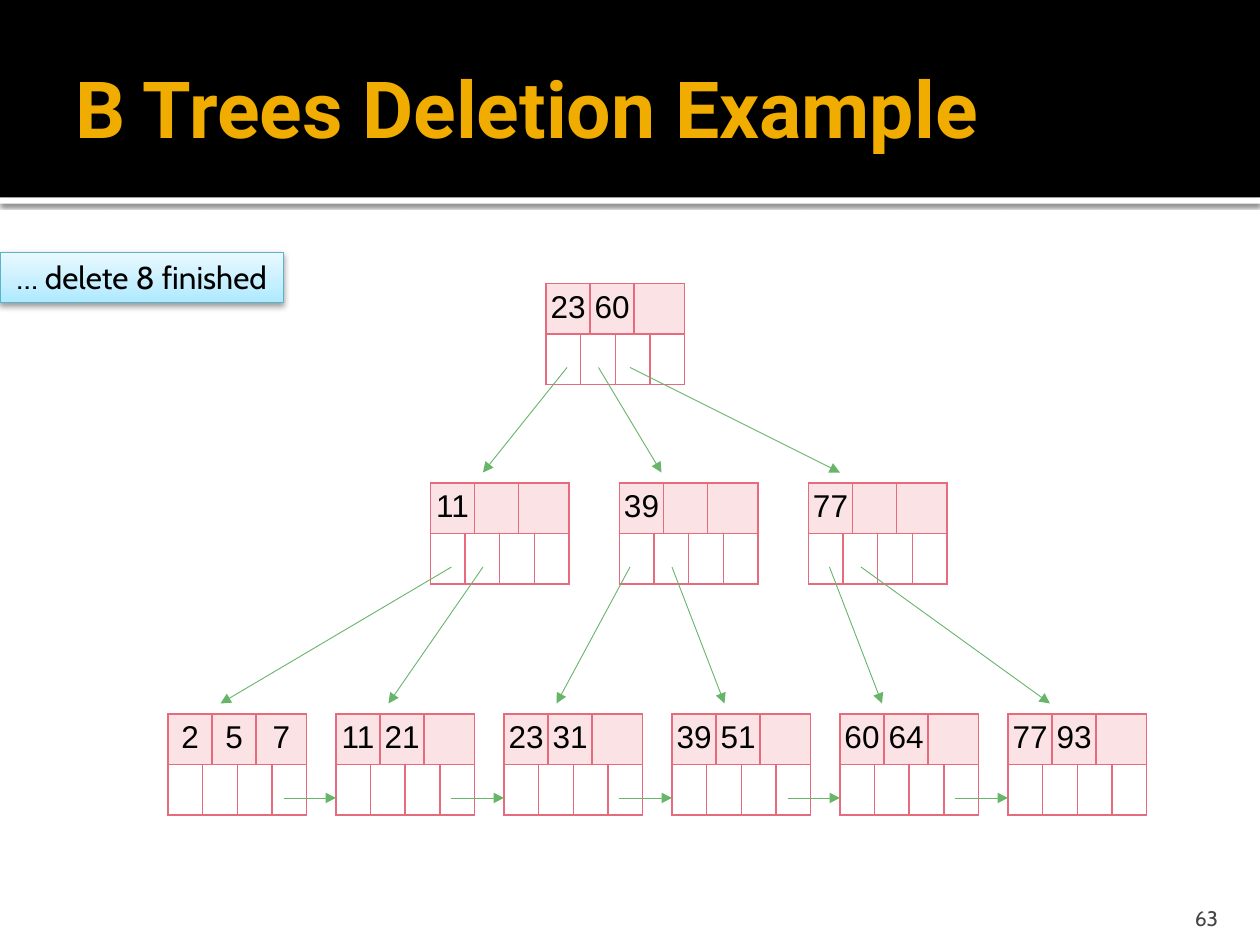
import lxml.etree
import pptx
import pptx.dml.color
import pptx.enum.shapes
import pptx.enum.text
import pptx.oxml
import pptx.oxml.ns
import pptx.util

RGBColor = pptx.dml.color.RGBColor
Align = pptx.enum.text.PP_ALIGN
Anchor = pptx.enum.text.MSO_ANCHOR
qn = pptx.oxml.ns.qn

PX = 7620
BLACK = RGBColor(0x00, 0x00, 0x00)
WHITE = RGBColor(0xFF, 0xFF, 0xFF)
GOLD = RGBColor(0xF0, 0xAD, 0x00)
GREY = RGBColor(0x45, 0x45, 0x45)
PINK = RGBColor(0xFA, 0xE2, 0xE5)
ROSE = RGBColor(0xE6, 0x6C, 0x7D)
GREEN = RGBColor(0x67, 0xB5, 0x69)
TEAL = RGBColor(0x5B, 0xB3, 0xCA)
LABEL_STOPS = [
    (0, RGBColor(0xAD, 0xE9, 0xFF)),
    (35, RGBColor(0xC5, 0xEF, 0xFF)),
    (100, RGBColor(0xE9, 0xF9, 0xFF)),
]

COLUMNS = [33, 9, 24, 18, 15, 33]
KEY_SPANS = [(0, 1), (2, 3), (4, 5)]
POINTER_SPANS = [(1, 2), (3, 4)]
ROW_HEIGHT = 48
ROOT = (520, 270, ["23", "60"])
INNER_LEFT, INNER_TOP, INNER_STEP = 410, 460, 180
INNER_KEYS = [["11"], ["39"], ["77"]]
LEAF_LEFT, LEAF_TOP, LEAF_STEP = 160, 680, 160
LEAF_KEYS = [["2", "5", "7"], ["11", "21"], ["23", "31"],
             ["39", "51"], ["60", "64"], ["77", "93"]]
ROOT_LINKS = [(540, 460), (570, 630), (600, 800)]
INNER_LINKS = [(430, 210), (460, 370), (600, 530),
               (640, 690), (790, 840), (820, 1000)]


def emu(*lengths):
    return [pptx.util.Emu(length * PX) for length in lengths]


def write_text(frame, text, font="Cabin", size=18, color=BLACK, bold=False,
               align=Align.LEFT, anchor=None, insets=(12, 6, 12, 6)):
    frame.word_wrap = True
    if anchor is not None:
        frame.vertical_anchor = anchor
    (frame.margin_left, frame.margin_top,
     frame.margin_right, frame.margin_bottom) = emu(*insets)
    paragraph = frame.paragraphs[0]
    paragraph.alignment = align
    run = paragraph.add_run()
    run.text = text
    run.font.name = font
    run.font.size = pptx.util.Pt(size)
    run.font.bold = bold
    run.font.color.rgb = color


def add_rectangle(slide, box, fill=None):
    shape = slide.shapes.add_shape(
        pptx.enum.shapes.MSO_SHAPE.RECTANGLE, *emu(*box))
    shape.shadow.inherit = False
    shape.line.fill.background()
    if fill is not None:
        shape.fill.solid()
        shape.fill.fore_color.rgb = fill
    return shape


def add_shadow(shape, opacity, blur, distance):
    effects = shape._element.spPr.find(qn("a:effectLst"))
    shadow = lxml.etree.SubElement(
        effects, qn("a:outerShdw"), blurRad=str(int(blur * 12700)),
        dist=str(int(distance * 12700)), dir="5400000", rotWithShape="0")
    color = lxml.etree.SubElement(shadow, qn("a:srgbClr"), val=str(BLACK))
    lxml.etree.SubElement(color, qn("a:alpha"), val=str(opacity * 1000))


def add_gradient(shape, stops, angle):
    gradient = lxml.etree.Element(qn("a:gradFill"), rotWithShape="1")
    stop_list = lxml.etree.SubElement(gradient, qn("a:gsLst"))
    for position, color in stops:
        stop = lxml.etree.SubElement(
            stop_list, qn("a:gs"), pos=str(position * 1000))
        lxml.etree.SubElement(stop, qn("a:srgbClr"), val=str(color))
    lxml.etree.SubElement(
        gradient, qn("a:lin"), ang=str(angle * 60000), scaled="0")
    shape._element.spPr.find(qn("a:prstGeom")).addnext(gradient)


def add_header(slide, left, top, width, height):
    strip = add_rectangle(slide, (left, top + height, width, 6), WHITE)
    add_shadow(strip, 60, 2.5, 0.8)
    add_rectangle(slide, (left, top, width, height), BLACK)
    title = slide.shapes.add_textbox(
        *emu(left + 60, top + 20, width - 120, height - 24))
    write_text(title.text_frame, "B Trees Deletion Example", font="Roboto",
               size=45, color=GOLD, bold=True, anchor=Anchor.MIDDLE,
               insets=(12, 6, 6, 6))


def add_step_label(slide, left, top, width, height):
    label = add_rectangle(slide, (left, top, width, height))
    add_gradient(label, LABEL_STOPS, 270)
    label.line.color.rgb = TEAL
    label.line.width = pptx.util.Pt(0.5)
    add_shadow(label, 38, 3.5, 2)
    write_text(label.text_frame, "… delete 8 finished",
               align=Align.CENTER, anchor=Anchor.MIDDLE)


def add_page_number(slide, left, top, width, height):
    number = slide.shapes.add_textbox(*emu(left, top, width, height))
    write_text(number.text_frame, "63", size=12, color=GREY,
               align=Align.RIGHT, anchor=Anchor.BOTTOM, insets=(12, 6, 12, 0))


def add_borders(cell):
    properties = cell._tc.get_or_add_tcPr()
    for side in ("a:lnL", "a:lnR", "a:lnT", "a:lnB"):
        border = lxml.etree.SubElement(properties, qn(side), w="12700")
        fill = lxml.etree.SubElement(border, qn("a:solidFill"))
        lxml.etree.SubElement(fill, qn("a:srgbClr"), val=str(ROSE))


def add_node(slide, left, top, keys):
    table = slide.shapes.add_table(
        2, len(COLUMNS),
        *emu(left, top, sum(COLUMNS), 2 * ROW_HEIGHT)).table
    table.first_row = False
    table.horz_banding = False
    for column, width in zip(table.columns, COLUMNS):
        column.width = pptx.util.Emu(width * PX)
    for row, color in zip(table.rows, (PINK, None)):
        row.height = pptx.util.Emu(ROW_HEIGHT * PX)
        for cell in row.cells:
            add_borders(cell)
            if color is None:
                cell.fill.background()
            else:
                cell.fill.solid()
                cell.fill.fore_color.rgb = color
    for row_index, spans in enumerate((KEY_SPANS, POINTER_SPANS)):
        for first, last in spans:
            table.cell(row_index, first).merge(table.cell(row_index, last))
    for (first, last), key in zip(KEY_SPANS, keys):
        cell = table.cell(0, first)
        cell.margin_left, cell.margin_right = emu(2, 2)
        write_text(cell.text_frame, key, font="Arial", align=Align.CENTER,
                   insets=(2, 6, 2, 6))


def add_arrow(slide, start, end):
    connector = slide.shapes.add_connector(
        pptx.enum.shapes.MSO_CONNECTOR.STRAIGHT, *emu(*start, *end))
    connector.line.color.rgb = GREEN
    connector.line.width = pptx.util.Pt(0.5)
    lxml.etree.SubElement(
        connector.line._get_or_add_ln(), qn("a:tailEnd"), type="triangle")
    lxml.etree.SubElement(connector._element.spPr, qn("a:effectLst"))


def add_tree(slide, left, top):
    def place(x, y):
        return left + x, top + y

    root_left, root_top, root_keys = ROOT
    add_node(slide, *place(root_left, root_top), root_keys)
    for index, keys in enumerate(INNER_KEYS):
        add_node(slide, *place(INNER_LEFT + index * INNER_STEP, INNER_TOP), keys)
    for index, keys in enumerate(LEAF_KEYS):
        add_node(slide, *place(LEAF_LEFT + index * LEAF_STEP, LEAF_TOP), keys)
    for start, end in ROOT_LINKS:
        add_arrow(slide, place(start, root_top + 80), place(end, INNER_TOP - 10))
    for start, end in INNER_LINKS:
        add_arrow(slide, place(start, INNER_TOP + 80), place(end, LEAF_TOP - 10))
    for index in range(1, len(LEAF_KEYS)):
        next_left = LEAF_LEFT + index * LEAF_STEP
        add_arrow(slide, place(next_left - 50, LEAF_TOP + 80),
                  place(next_left, LEAF_TOP + 80))


def main():
    presentation = pptx.Presentation()
    presentation.slide_width, presentation.slide_height = emu(1200, 900)
    slide = presentation.slides.add_slide(presentation.slide_layouts[6])
    add_header(slide, 0, 0, 1200, 188)
    add_step_label(slide, 0, 240, 270, 48)
    add_tree(slide, 0, 0)
    add_page_number(slide, 1076, 850, 96, 36)
    presentation.save("out.pptx")


if __name__ == "__main__":
    main()
